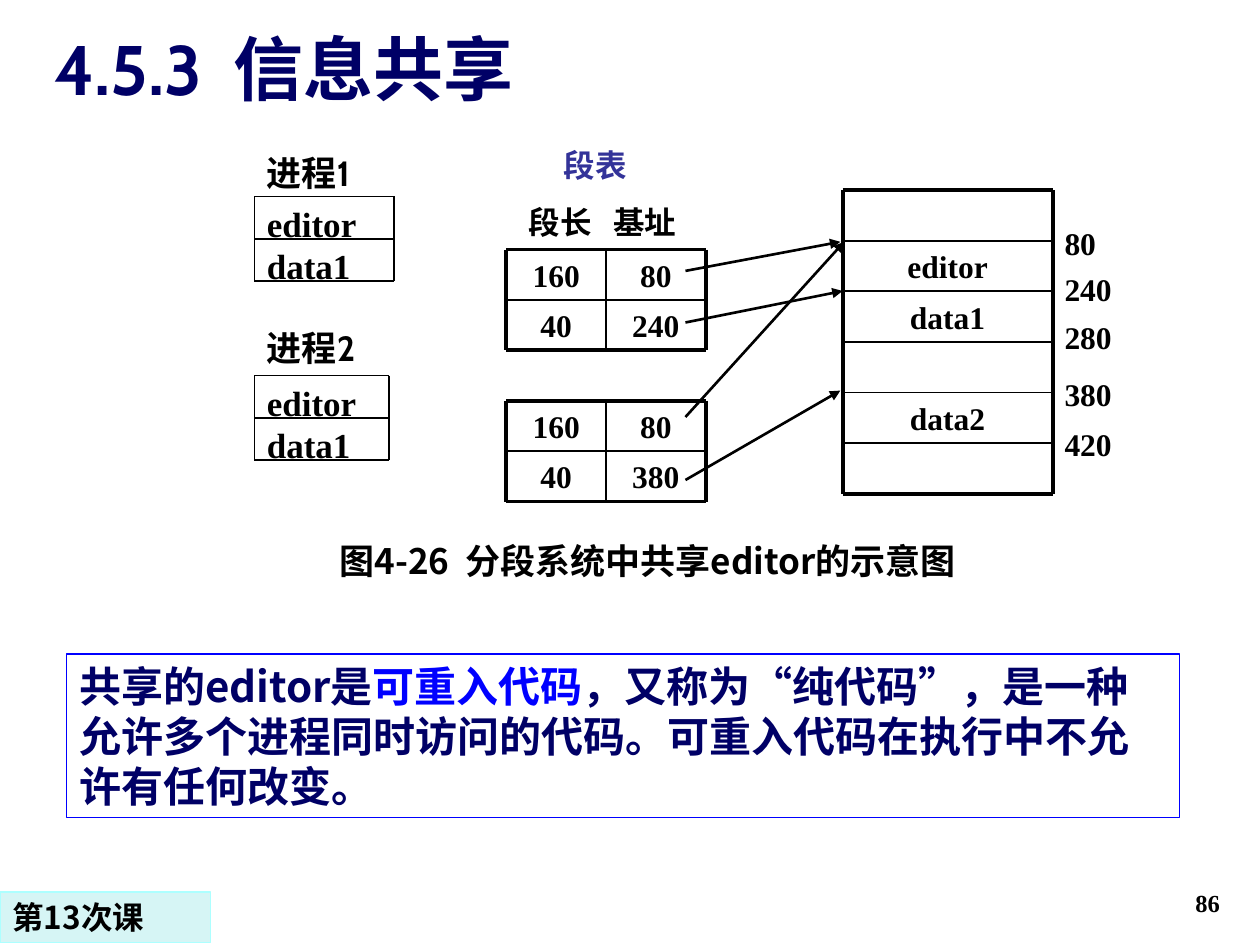
from dataclasses import dataclass
from itertools import accumulate

from lxml import etree
from pptx import Presentation
from pptx import util as u
from pptx.dml.color import RGBColor
from pptx.enum import shapes, text
from pptx.oxml import ns


@dataclass(frozen=True)
class Theme:
    black: str = "000000"
    navy: str = "000066"
    blue: str = "0000FF"
    violet: str = "333399"
    pale: str = "D6F5F5"
    pale_edge: str = "ADFFFF"
    serif: str = "Times New Roman"
    heading: str = "Cabin"
    chinese: str = "Noto Sans CJK SC"
    title: float = 40
    note: float = 24
    label: float = 20
    body: float = 18
    page: float = 14
    thin: float = 1
    thick: float = 2.25
    arrow: float = 1.5


THEME = Theme()
CENTER = text.PP_ALIGN.CENTER
RIGHT = text.PP_ALIGN.RIGHT
BOTTOM = text.MSO_ANCHOR.BOTTOM


def set_all(target, values):
    for name, value in values.items():
        setattr(target, name, value)


def write(shape, paragraphs, size, font, color=THEME.black, align=None,
          anchor=text.MSO_ANCHOR.TOP, inset=(7.2, 3.6)):
    """Fill a shape; each paragraph is (space before, [(words, colour or None)])."""
    frame = shape.text_frame
    across, down = map(u.Pt, inset)
    set_all(frame, {"word_wrap": True, "vertical_anchor": anchor,
                    "margin_left": across, "margin_right": across,
                    "margin_top": down, "margin_bottom": down})
    for index, (space, runs) in enumerate(paragraphs):
        paragraph = frame.add_paragraph() if index else frame.paragraphs[0]
        paragraph.alignment = align or text.PP_ALIGN.LEFT
        if space:
            paragraph.space_before = u.Pt(space)
        for words, run_color in runs:
            run = paragraph.add_run()
            run.text = words
            set_all(run.font, {"size": u.Pt(size), "bold": True, "name": font})
            run.font.color.rgb = RGBColor.from_string(run_color or color)
            east_asian = etree.SubElement(run.font._element, ns.qn("a:ea"))
            east_asian.set("typeface", THEME.chinese)


def add_label(slide, box, words, size, font, **style):
    shape = slide.shapes.add_textbox(*map(u.Pt, box))
    write(shape, [(0, [(words, None)])], size, font, **style)


def add_panel(slide, box, runs, size, edge, fill=None, color=THEME.black):
    shape = slide.shapes.add_shape(shapes.MSO_SHAPE.RECTANGLE, *map(u.Pt, box))
    shape.shadow.inherit = False
    if fill:
        shape.fill.solid()
        shape.fill.fore_color.rgb = RGBColor.from_string(fill)
    else:
        shape.fill.background()
    shape.line.color.rgb = RGBColor.from_string(edge)
    shape.line.width = u.Pt(0.75)
    write(shape, [(0, runs)], size, THEME.chinese, color)


def add_line(slide, ends, weight, arrow=False):
    line = slide.shapes.add_connector(shapes.MSO_CONNECTOR.STRAIGHT, *map(u.Pt, ends))
    line.line.color.rgb = RGBColor.from_string(THEME.black)
    line.line.width = u.Pt(weight)
    if arrow:
        etree.SubElement(line.line._get_or_add_ln(), ns.qn("a:tailEnd"), type="triangle")
    etree.SubElement(line._element.spPr, ns.qn("a:effectLst"))


def add_grid(slide, left, top, widths, row_height, rows, size, edge, align=None):
    """Draw ruled rows whose text may overrun the row height."""
    xs = list(accumulate(widths, initial=left))
    ys = [top + row_height * index for index in range(len(rows) + 1)]
    for y, row in zip(ys, rows):
        for x, width, words in zip(xs, widths, row):
            if words:
                add_label(slide, (x, y, width, row_height), words, size,
                          THEME.serif, align=align)
    for y in ys:
        add_line(slide, (xs[0], y, xs[-1], y), edge if y in (ys[0], ys[-1]) else THEME.thin)
    for x in xs:
        add_line(slide, (x, ys[0], x, ys[-1]), edge if x in (xs[0], xs[-1]) else THEME.thin)


def add_processes(slide):
    for name, label_top, top, width in (("进程1", 82.8, 112.3, 79.9),
                                        ("进程2", 182.9, 214.6, 77)):
        add_label(slide, (145.4, label_top, 72, 31.7), name, THEME.label, THEME.heading)
        add_grid(slide, 145.4, top, [width], 24.1, [["editor"], ["data1"]],
                 THEME.label, THEME.thin)


def add_segment_tables(slide):
    add_label(slide, (313.2, 82.8, 54, 23), "段表", THEME.body, THEME.heading,
              color=THEME.violet, align=CENTER, inset=(4.3, 0.7))
    add_label(slide, (295.2, 112.3, 108, 28.8), "段长   基址", THEME.body, THEME.heading)
    for top, data_base in ((142.6, "240"), (229, "380")):
        add_grid(slide, 289.4, top, [56.9, 56.9], 28.8,
                 [["160", "80"], ["40", data_base]], THEME.body, THEME.thick, CENTER)


def add_memory(slide):
    rows = [[""], ["editor"], ["data1"], [""], ["data2"], [""]]
    add_grid(slide, 481.5, 108.7, [120], 28.9, rows, THEME.body, THEME.thick, CENTER)
    addresses = slide.shapes.add_textbox(*map(u.Pt, (601.2, 124.6, 66.2, 143.3)))
    spaced = ((0, "80"), (4.5, "240"), (5.6, "280"), (11.2, "380"), (6.8, "420"))
    write(addresses, [(space, [(words, None)]) for space, words in spaced],
          THEME.body, THEME.serif)


def add_mappings(slide):
    for start, end_x, end_y in ((154.8, 480.2, 138.2), (238.3, 482.4, 138.2),
                                (274.3, 480.2, 223.2), (184.3, 481.5, 166.3)):
        add_line(slide, (391.7, start, end_x, end_y), THEME.arrow, arrow=True)


def main():
    presentation = Presentation()
    set_all(presentation, {"slide_width": u.Pt(720), "slide_height": u.Pt(540)})
    slide = presentation.slides.add_slide(presentation.slide_layouts[6])
    add_label(slide, (554.4, 491.8, 149.8, 36), "86", THEME.page, THEME.serif,
              align=RIGHT, anchor=BOTTOM)
    add_processes(slide)
    add_segment_tables(slide)
    add_memory(slide)
    add_mappings(slide)
    add_label(slide, (151.2, 304.6, 437.8, 31.7), "图4-26  分段系统中共享editor的示意图",
              THEME.label, THEME.chinese, align=CENTER)
    note = [("共享的editor是", None), ("可重入代码", THEME.blue),
            ("，又称为“纯代码”，是一种允许多个进程同时访问的代码。"
             "可重入代码在执行中不允许有任何改变。", None)]
    add_panel(slide, (38.2, 373.7, 635.8, 93.6), note, THEME.note, THEME.blue,
              color=THEME.navy)
    add_panel(slide, (0, 509.8, 120.2, 28.8), [("第13次课", None)], THEME.body,
              THEME.pale_edge, fill=THEME.pale)
    add_label(slide, (23.8, 11.5, 650.9, 54.7), "4.5.3  信息共享", THEME.title,
              THEME.heading, color=THEME.navy, anchor=BOTTOM)
    presentation.save("out.pptx")


if __name__ == "__main__":
    main()
